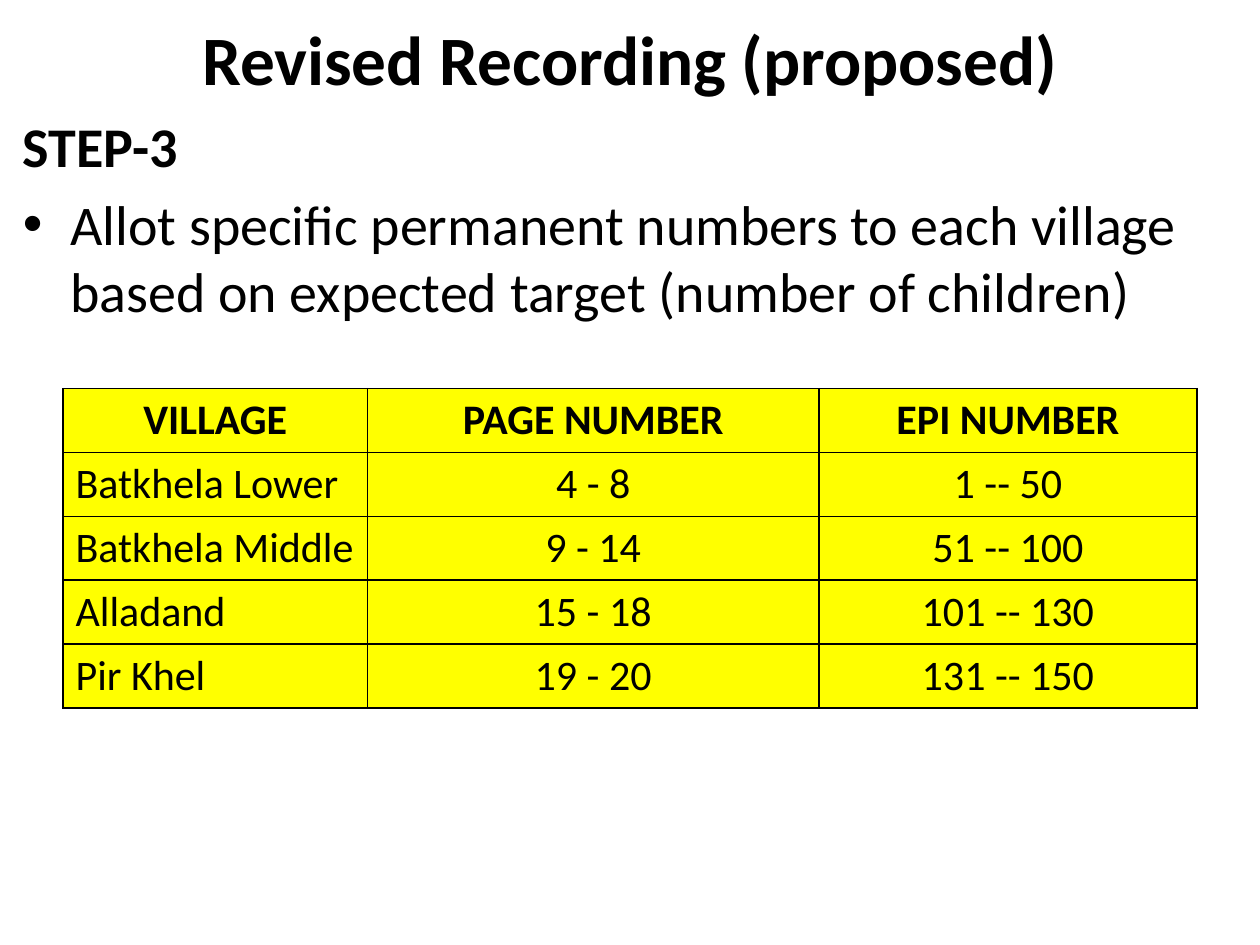
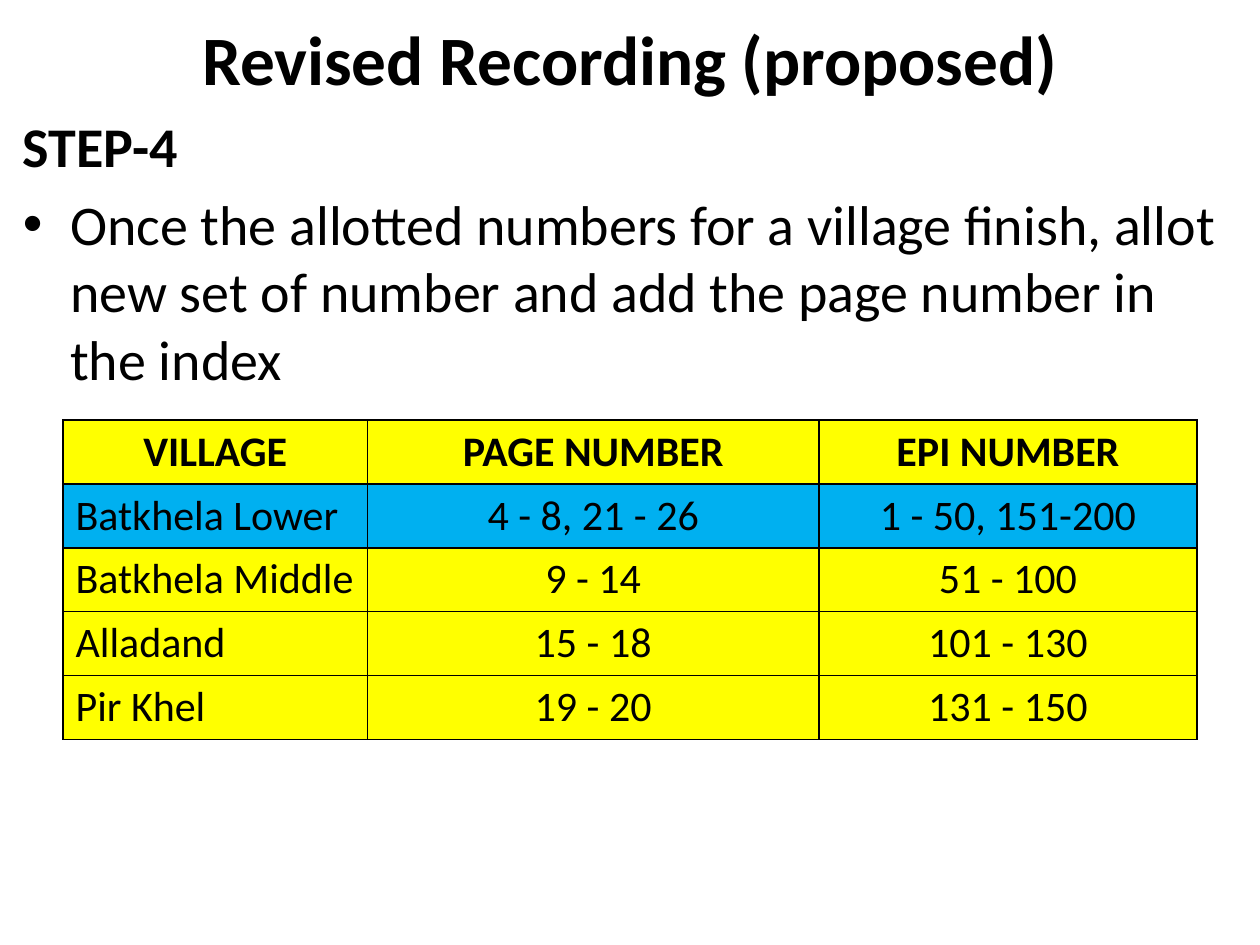
"""Build two slides on the revised recording of villages."""
import pptx
import pptx.dml.color
import pptx.enum.text
import pptx.oxml
import pptx.oxml.ns
import pptx.util

Pt = pptx.util.Pt
RGBColor = pptx.dml.color.RGBColor
ALIGN = pptx.enum.text.PP_ALIGN
ANCHOR = pptx.enum.text.MSO_ANCHOR
NO_FIT = pptx.enum.text.MSO_AUTO_SIZE.NONE

BLACK = RGBColor(0x00, 0x00, 0x00)
YELLOW = RGBColor(0xFF, 0xFF, 0x00)
BLUE = RGBColor(0x00, 0xB0, 0xF0)

TITLE = "Revised Recording (proposed)"
HEADER = ("VILLAGE", "PAGE NUMBER", "EPI NUMBER")
VILLAGES = ("Batkhela Lower", "Batkhela Middle", "Alladand", "Pir Khel")
COLUMN_WIDTHS = (174, 258, 216)
ROW_HEIGHT = 36


class Style:
    """Hold the shared look and the slide being filled."""

    font = "Calibri"
    margin = 36
    indent = 27

    def __init__(self, deck):
        """Remember the deck."""
        self.deck = deck
        self.page = None

    def format(self, para, size, bold=False, align=ALIGN.LEFT):
        """Give every run of a paragraph the shared font."""
        para.alignment = align
        for span in para.runs:
            span.font.name = self.font
            span.font.size = Pt(size)
            span.font.bold = bold
            span.font.color.rgb = BLACK

    def title(self, text):
        """Start a slide and set its title."""
        self.page = self.deck.slides.add_slide(self.deck.slide_layouts[5])
        box = self.page.shapes.title
        box.left, box.top, box.width, box.height = Pt(self.margin), Pt(6), Pt(648), Pt(54)
        frame = box.text_frame
        frame.text = text
        frame.auto_size = NO_FIT
        frame.vertical_anchor = ANCHOR.MIDDLE
        self.format(frame.paragraphs[0], 39.6, True, ALIGN.CENTER)

    def body(self, step, instruction):
        """Add the step heading and its bulleted instruction."""
        box = self.page.shapes.add_textbox(Pt(6), Pt(60), Pt(708), Pt(468))
        frame = box.text_frame
        frame.word_wrap = True
        frame.auto_size = NO_FIT
        frame.text = f"{step}\n{instruction}"
        heading, bullet = frame.paragraphs
        for para in (heading, bullet):
            para.space_before = Pt(6.4)
            self.format(para, 32, bold=para is heading)
        self.bullet(bullet)

    def bullet(self, para):
        """Give a paragraph a hanging bullet."""
        properties = para._p.get_or_add_pPr()
        properties.set("marL", str(Pt(self.indent)))
        properties.set("indent", str(-Pt(self.indent)))
        namespace = pptx.oxml.ns.nsdecls("a")
        for mark in ('buFont typeface="Arial"', 'buChar char="\u2022"'):
            properties.append(pptx.oxml.parse_xml(f"<a:{mark} {namespace}/>"))

    def borders(self, cell):
        """Draw a thin black line on each side of a cell."""
        properties = cell._tc.get_or_add_tcPr()
        for place, side in enumerate(("lnL", "lnR", "lnT", "lnB")):
            line = pptx.oxml.parse_xml(
                f'<a:{side} {pptx.oxml.ns.nsdecls("a")} w="{Pt(1)}">'
                f'<a:solidFill><a:srgbClr val="{BLACK}"/></a:solidFill></a:{side}>')
            properties.insert(place, line)

    def table(self, top, rows, highlighted=None):
        """Add the village table, with one row optionally in blue."""
        grid = self.page.shapes.add_table(
            len(rows), len(COLUMN_WIDTHS), Pt(self.margin), Pt(top),
            Pt(sum(COLUMN_WIDTHS)), Pt(ROW_HEIGHT * len(rows))).table
        grid.first_row = grid.horz_banding = False
        for column, width in zip(grid.columns, COLUMN_WIDTHS):
            column.width = Pt(width)
        for i, values in enumerate(rows):
            for j, value in enumerate(values):
                cell = grid.cell(i, j)
                cell.text = value
                cell.fill.solid()
                cell.fill.fore_color.rgb = BLUE if i == highlighted else YELLOW
                align = ALIGN.LEFT if i and not j else ALIGN.CENTER
                self.format(cell.text_frame.paragraphs[0], 24, i == 0, align)
                self.borders(cell)


def step_slide(style, step, instruction, top, pages, numbers, highlighted=None):
    """Build one step: title, instruction and village table."""
    style.title(TITLE)
    style.body(step, instruction)
    style.table(top, [HEADER, *zip(VILLAGES, pages, numbers)], highlighted)


def main():
    """Build and save the deck."""
    deck = pptx.Presentation()
    deck.slide_width, deck.slide_height = Pt(720), Pt(540)
    style = Style(deck)
    step_slide(
        style, "STEP-3",
        "Allot specific permanent numbers to each village based on expected "
        "target (number of children)",
        222,
        ("4 - 8", "9 - 14", "15 - 18", "19 - 20"),
        ("1 -- 50", "51 -- 100", "101 -- 130", "131 -- 150"))
    step_slide(
        style, "STEP-4",
        "Once the allotted numbers for a village finish, allot new set of "
        "number and add the page number in the index",
        240,
        ("4 - 8, 21 - 26", "9 - 14", "15 - 18", "19 - 20"),
        ("1 - 50, 151-200", "51 - 100", "101 - 130", "131 - 150"),
        highlighted=1)
    deck.save("out.pptx")


main()
